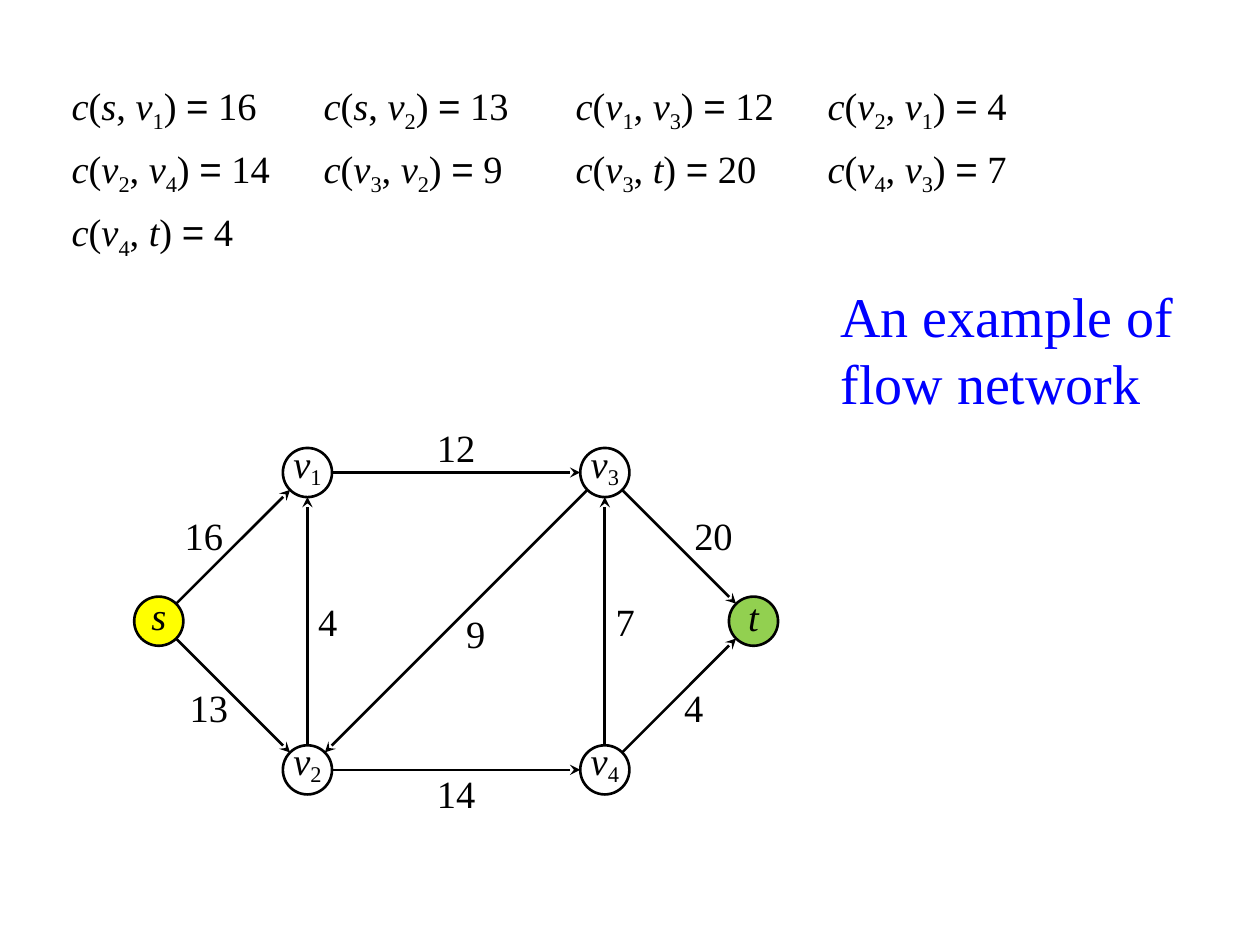
from math import hypot

from lxml import etree
from pptx import Presentation, util as u
from pptx.dml.color import RGBColor
from pptx.enum import shapes, text
from pptx.oxml import ns

COLORS = {"ink": "000000", "title": "0000FF", "plain": "FFFFFF",
          "source": "FFFF00", "sink": "92D050"}
SERIF, SANS = "Times New Roman", "Arial"
WIDTH, HEIGHT = 10, 7.5
NODE = 0.39  # node diameter
LEFT, CENTER, RIGHT = text.PP_ALIGN.LEFT, text.PP_ALIGN.CENTER, text.PP_ALIGN.RIGHT

# Node: grid column and row, fill
NODES = {
    "v1": (1, 0, "plain"), "v2": (1, 2, "plain"),
    "v3": (3, 0, "plain"), "v4": (3, 2, "plain"),
    "s": (0, 1, "source"), "t": (4, 1, "sink"),
}
# Edge: from, to, capacity; label centre in grid units, box size,
# alignment, insets (left, right, bottom)
EDGES = [
    ("s", "v1", 16, (0.25, 0.42), 0.59, RIGHT, (0, 0.08, 0)),
    ("s", "v2", 13, (0.25, 1.58), 0.59, RIGHT, (0, 0.04, 0)),
    ("v1", "v3", 12, (2, -0.17), 0.39, CENTER, (0, 0, 0)),
    ("v2", "v1", 4, (1.17, 1), 0.39, LEFT, (0.08, 0, 0)),
    ("v2", "v4", 14, (2, 2.17), 0.39, CENTER, (0, 0, 0.04)),
    ("v3", "v2", 9, (2.25, 1.08), 0.59, LEFT, (0.08, 0, 0)),
    ("v3", "t", 20, (3.75, 0.42), 0.59, LEFT, (0.12, 0, 0)),
    ("v4", "v3", 7, (3.17, 1), 0.39, LEFT, (0.08, 0, 0)),
    ("v4", "t", 4, (3.75, 1.58), 0.59, LEFT, (0.04, 0, 0)),
]


def color(name):
    return RGBColor.from_string(COLORS[name])


def set_font(font, size=22, name="ink"):
    font.name, font.size, font.color.rgb = SERIF, u.Pt(size), color(name)


def add_span(para, words, italic=False, face=SERIF, drop=0):
    """Add a run; drop lowers it as a subscript, in percent."""
    span = para.add_run()
    span.text = words
    set_font(span.font)
    span.font.name, span.font.italic = face, italic
    if drop:
        span.font._element.set("baseline", str(-drop * 1000))


def add_name(para, node, drop):
    add_span(para, node[0], italic=True)
    if node[1:]:
        add_span(para, node[1:], drop=drop)


def set_insets(frame, left=0, right=0, bottom=0):
    frame.margin_left, frame.margin_right = u.Inches(left), u.Inches(right)
    frame.margin_top, frame.margin_bottom = 0, u.Inches(bottom)


def add_title(page, box):
    title = page.shapes.title
    title.left, title.top, title.width, title.height = map(u.Inches, box)
    frame = title.text_frame
    frame.text = "An example of flow network"
    frame.auto_size = text.MSO_AUTO_SIZE.NONE
    frame.vertical_anchor = text.MSO_ANCHOR.MIDDLE
    frame.paragraphs[0].alignment = LEFT
    set_font(frame.paragraphs[0].font, 32, "title")


def add_tab_stops(para, count, gap):
    stops = etree.SubElement(para._p.get_or_add_pPr(), ns.qn("a:tabLst"))
    for number in range(1, count + 1):
        etree.SubElement(stops, ns.qn("a:tab"),
                         pos=str(u.Inches(number * gap)), algn="l")


def add_capacities(page, box, columns=4):
    frame = page.shapes.add_textbox(*map(u.Inches, box)).text_frame
    frame.word_wrap = True
    for index, (start, end, capacity, *_) in enumerate(EDGES):
        column = index % columns
        if column == 0:
            para = frame.paragraphs[0] if index == 0 else frame.add_paragraph()
            para.space_before = u.Pt(6)
            add_tab_stops(para, columns - 1, 2)
        else:
            add_span(para, "\t")
        add_span(para, "c", italic=True)
        add_span(para, "(")
        add_name(para, start, 25)
        add_span(para, ", ")
        add_name(para, end, 25)
        add_span(para, ") ")
        add_span(para, "=", face=SANS)
        add_span(para, f" {capacity}")


def add_label(page, words, center, size, align, insets):
    x, y = center
    label = page.shapes.add_textbox(
        *map(u.Inches, (x - size / 2, y - size / 2, size, size)))
    frame = label.text_frame
    frame.word_wrap = False
    frame.vertical_anchor = text.MSO_ANCHOR.MIDDLE
    set_insets(frame, *insets)
    para = frame.paragraphs[0]
    para.text, para.alignment = words, align
    set_font(para.font)


def add_node(page, name, center, fill):
    x, y = center
    node = page.shapes.add_shape(
        shapes.MSO_SHAPE.OVAL,
        *map(u.Inches, (x - NODE / 2, y - NODE / 2, NODE, NODE)))
    node.shadow.inherit = False
    node.fill.solid()
    node.fill.fore_color.rgb = color(fill)
    node.line.color.rgb, node.line.width = color("ink"), u.Pt(1.5)
    frame = node.text_frame
    is_sink = fill == "sink"
    frame.vertical_anchor = (text.MSO_ANCHOR.MIDDLE if is_sink
                             else text.MSO_ANCHOR.BOTTOM)
    set_insets(frame, bottom=0.08 if is_sink else 0)
    frame.paragraphs[0].alignment = CENTER
    add_name(frame.paragraphs[0], name, 18)


def add_arrow(page, start, end):
    """Join the rims of the nodes centred on start and end."""
    dx, dy = end[0] - start[0], end[1] - start[1]
    share = NODE / 2 / hypot(dx, dy)
    ends = (start[0] + dx * share, start[1] + dy * share,
            end[0] - dx * share, end[1] - dy * share)
    arrow = page.shapes.add_connector(
        shapes.MSO_CONNECTOR.STRAIGHT, *map(u.Inches, ends))
    arrow.line.color.rgb, arrow.line.width = color("ink"), u.Pt(1.5)
    etree.SubElement(arrow.line._get_or_add_ln(), ns.qn("a:tailEnd"), type="stealth")
    etree.SubElement(arrow._element.spPr, ns.qn("a:effectLst"))


def add_network(page, box):
    """Draw the graph; the box runs through the outermost node centres."""
    left, top, width, height = box

    def place(column, row):
        return left + column * width / 4, top + row * height / 2

    for _, _, capacity, spot, size, align, insets in EDGES:
        add_label(page, str(capacity), place(*spot), size, align, insets)
    for name, (column, row, fill) in NODES.items():
        add_node(page, name, place(column, row), fill)
    for start, end, *_ in EDGES:
        add_arrow(page, place(*NODES[start][:2]), place(*NODES[end][:2]))


def main():
    deck = Presentation()
    deck.slide_width, deck.slide_height = u.Inches(WIDTH), u.Inches(HEIGHT)
    page = deck.slides.add_slide(deck.slide_layouts[5])
    add_title(page, (6.57, 2.18, 2.95, 1.18))
    add_capacities(page, (0.47, 0.6, 9.06, 1.58))
    add_network(page, (1.26, 3.75, 4.72, 2.36))
    deck.save("out.pptx")


if __name__ == "__main__":
    main()
